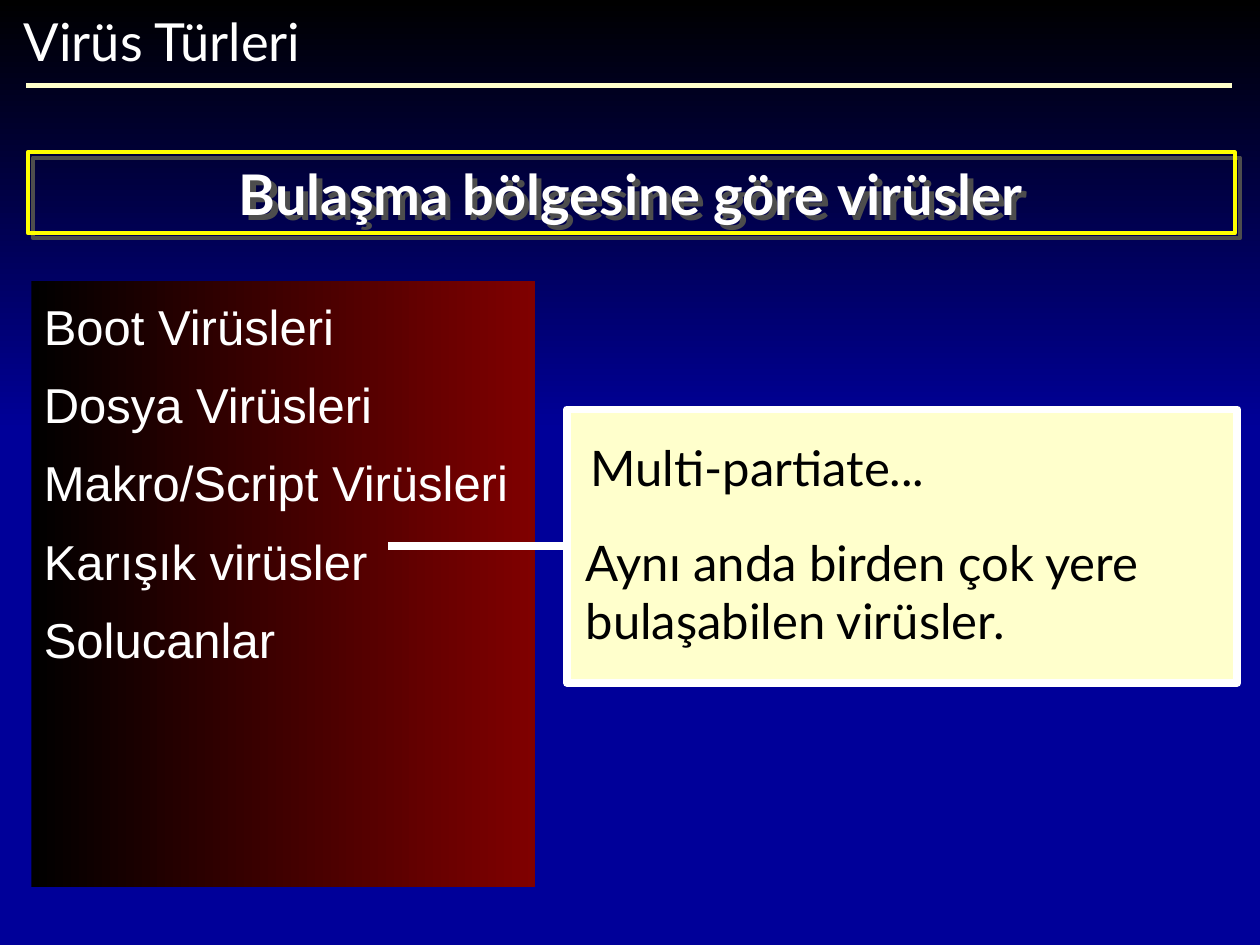
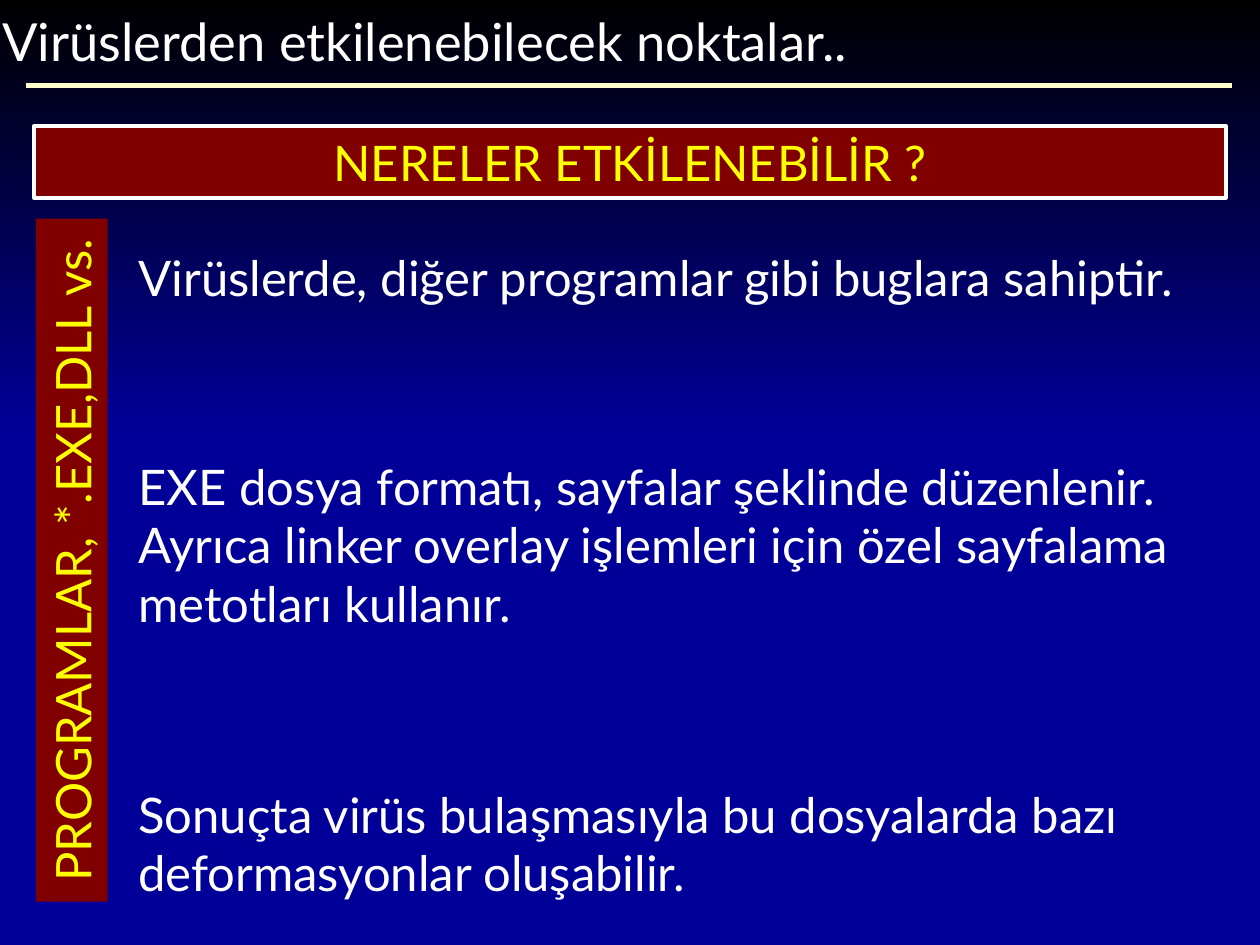
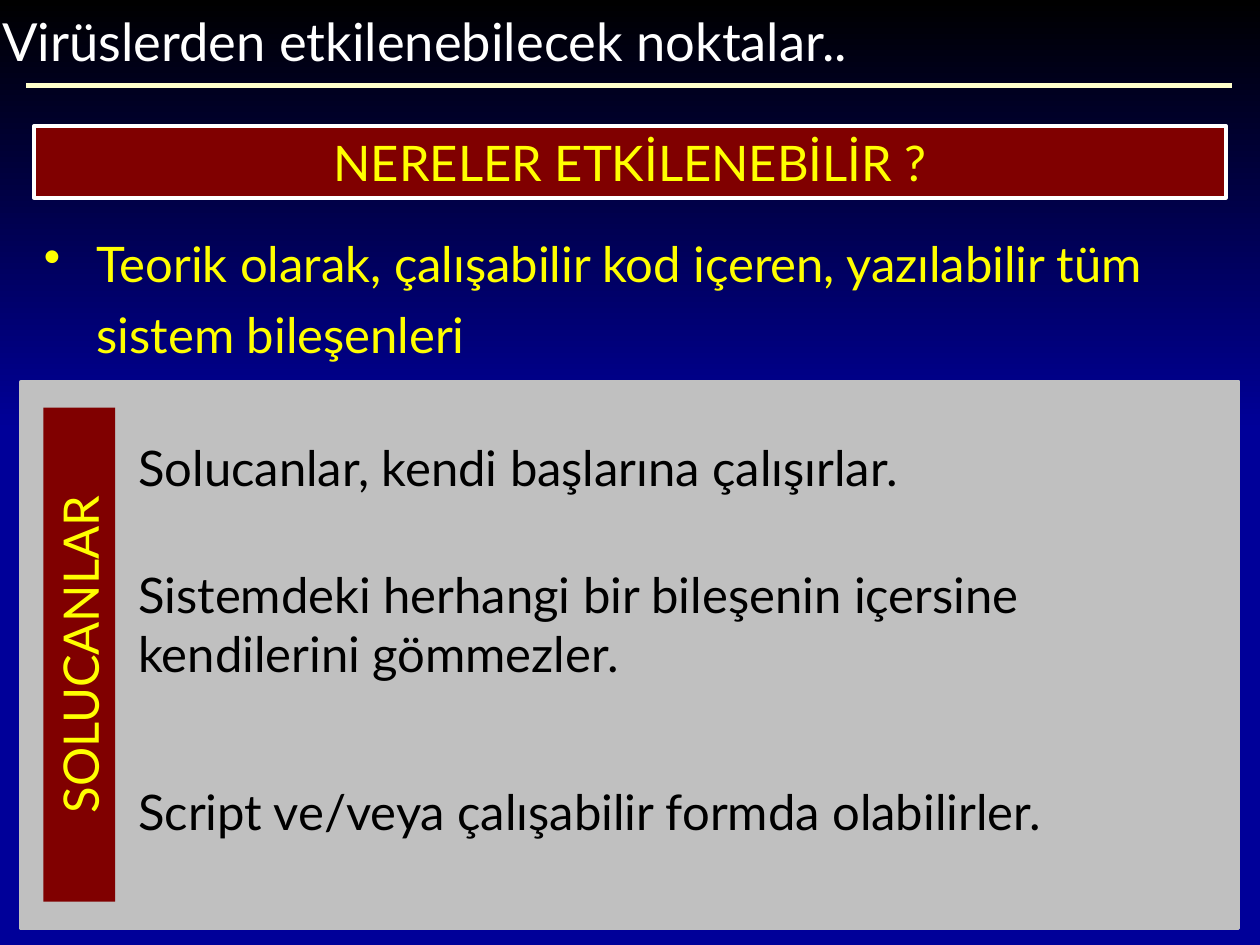
from lxml.etree import SubElement
from pptx import Presentation
from pptx.dml.color import RGBColor
from pptx.enum.shapes import MSO_CONNECTOR, MSO_SHAPE
from pptx.enum.text import MSO_ANCHOR, PP_ALIGN
from pptx.oxml.ns import qn
from pptx.util import Pt

PX = 9144  # 100 px to the inch
COLOURS = {
    "black": "000000", "navy": "000099", "white": "FFFFFF", "cream": "FFFFCC",
    "yellow": "FFFF00", "maroon": "800000", "silver": "C0C0C0", "shade": "4D4D4D",
}
RGB = {name: RGBColor.from_string(value) for name, value in COLOURS.items()}


def add_panel(shapes, at, fill=None, line=None, line_width=2.25, angle=0):
    """Add a rectangle; fill is a colour name or a pair of gradient colours."""
    panel = shapes.add_shape(MSO_SHAPE.RECTANGLE, *[PX * n for n in at])
    panel.shadow.inherit = False
    if fill is None:
        panel.fill.background()
    elif isinstance(fill, tuple):
        panel.fill.gradient()
        panel.fill.gradient_angle = angle
        for stop, name in zip(panel.fill.gradient_stops, fill):
            stop.color.rgb = RGB[name]
    else:
        panel.fill.solid()
        panel.fill.fore_color.rgb = RGB[fill]
    if line:
        panel.line.color.rgb = RGB[line]
        panel.line.width = Pt(line_width)
    else:
        panel.line.fill.background()
    return panel


def write(shape, lines, colour, size=28, font="Lato", align=PP_ALIGN.LEFT, bold=False):
    frame = shape.text_frame
    frame.word_wrap = True
    frame.vertical_anchor = MSO_ANCHOR.MIDDLE
    for number, line in enumerate(lines):
        paragraph = frame.add_paragraph() if number else frame.paragraphs[0]
        paragraph.alignment = align
        run = paragraph.add_run()
        run.text = line
        run.font.name = font
        run.font.size = Pt(size)
        run.font.bold = bold
        run.font.color.rgb = RGB[colour]
    return frame


prs = Presentation()
prs.slide_width, prs.slide_height = 1000 * PX, 750 * PX
prs.slide_master.background.fill.solid()
prs.slide_master.background.fill.fore_color.rgb = RGB["navy"]

# Backdrop, title and rule of every slide
strokes = []
slides = []
AFFECTED = "Virüslerden etkilenebilecek noktalar.."
for title, left, width in [("Virüs Türleri", 9, 258), (AFFECTED, -8, 743), (AFFECTED, -8, 743)]:
    shapes = prs.slides.add_slide(prs.slide_layouts[6]).shapes
    add_panel(shapes, (0, 0, 1000, 342), ("black", "navy"), angle=270)
    rule = shapes.add_connector(MSO_CONNECTOR.STRAIGHT, 21 * PX, 68 * PX, 978 * PX, 68 * PX)
    strokes.append((rule, "cream", 3))
    write(shapes.add_textbox(left * PX, 2 * PX, width * PX, 60 * PX), [title], "white", 30)
    slides.append(shapes)
types, programs, worms = slides

# Slide 1: virus types
type_list = add_panel(types, (25, 223, 400, 481), ("black", "maroon"))
frame = write(type_list, ["Boot Virüsleri", "Dosya Virüsleri", "Makro/Script Virüsleri",
                          "Karışık virüsler", "Solucanlar"], "white", font="Arial")
frame.vertical_anchor = MSO_ANCHOR.TOP
frame.margin_top = 12 * PX
for paragraph in frame.paragraphs:
    paragraph.space_after = Pt(11.2)

heading = add_panel(types, (22, 121, 958, 64), line="yellow")
write(heading, ["Bulaşma bölgesine göre virüsler"], "white", 32, align=PP_ALIGN.CENTER, bold=True)
effects = heading.element.spPr.find(qn("a:effectLst"))
shadow = SubElement(effects, qn("a:outerShdw"), dist=str(Pt(4.2)), dir="2700000",
                    algn="ctr", rotWithShape="0")
SubElement(shadow, qn("a:srgbClr"), val=COLOURS["shade"])

callout = types.add_group_shape().shapes
add_panel(callout, (450, 325, 532, 217), "cream", "white", 4.5)
for at, lines in [
    ((459, 342, 300, 57), ["Multi-partiate..."]),
    ((455, 417, 492, 104), ["Aynı anda birden çok yere", "bulaşabilen virüsler."]),
]:
    write(callout.add_textbox(*[PX * n for n in at]), lines, "black")
pointer = callout.add_connector(MSO_CONNECTOR.STRAIGHT, 450 * PX, 433 * PX, 308 * PX, 433 * PX)
strokes.append((pointer, "white", 4.5))

# Slides 2 and 3: what can be affected
add_panel(worms, (17, 303, 966, 434), "silver", "silver")
intro = write(worms.add_textbox(25 * PX, 171 * PX, 950 * PX, 122 * PX),
              ["Teorik olarak, çalışabilir kod içeren, yazılabilir tüm sistem bileşenleri"],
              "yellow").paragraphs[0]
intro.line_spacing = 1.2
intro.space_after = Pt(19.2)
indent = intro._p.get_or_add_pPr()
indent.set("marL", str(42 * PX))
indent.set("indent", str(-42 * PX))
SubElement(indent, qn("a:buChar"), char="•")

for shapes, label, label_at, colour, statements in [
    (programs, "PROGRAMLAR, *.EXE,DLL vs.", (-214, 416, 542, 57), "white", [
        (168, 104, "Virüslerde, diğer programlar gibi buglara sahiptir."),
        (357, 150, "EXE dosya formatı, sayfalar şeklinde düzenlenir. Ayrıca linker overlay "
                   "işlemleri için özel sayfalama metotları kullanır."),
        (617, 104, "Sonuçta virüs bulaşmasıyla bu dosyalarda bazı deformasyonlar oluşabilir."),
    ]),
    (worms, "SOLUCANLAR", (-133, 491, 392, 57), "black", [
        (342, 57, "Solucanlar, kendi başlarına çalışırlar."),
        (443, 104, "Sistemdeki herhangi bir bileşenin içersine kendilerini gömmezler."),
        (615, 57, "Script ve/veya çalışabilir formda olabilirler."),
    ]),
]:
    question = add_panel(shapes, (27, 100, 946, 57), "maroon", "white")
    write(question, ["NERELER ETKİLENEBİLİR ?"], "yellow", align=PP_ALIGN.CENTER)
    side_label = add_panel(shapes, label_at, "maroon")
    side_label.rotation = 270
    write(side_label, [label], "yellow", align=PP_ALIGN.CENTER)
    for top, height, statement in statements:
        write(shapes.add_textbox(100 * PX, top * PX, 875 * PX, height * PX), [statement], colour)

for stroke, colour, width in strokes:
    stroke.line.color.rgb = RGB[colour]
    stroke.line.width = Pt(width)
    SubElement(stroke.element.spPr, qn("a:effectLst"))

prs.save("out.pptx")
